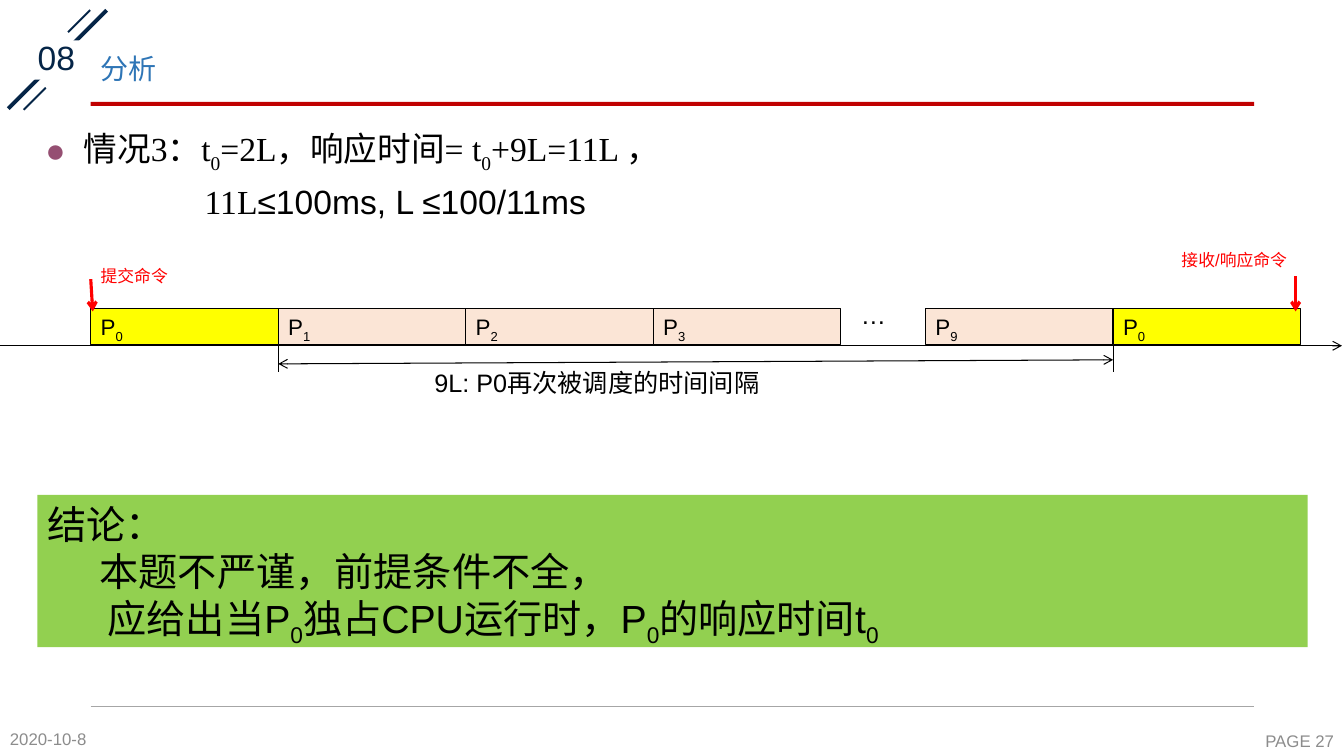
from dataclasses import dataclass

from lxml.etree import SubElement
from pptx import Presentation
from pptx.dml.color import RGBColor
from pptx.enum.shapes import MSO_CONNECTOR, MSO_SHAPE
from pptx.enum.text import MSO_ANCHOR, PP_ALIGN
from pptx.oxml.ns import qn
from pptx.util import Inches, Pt


@dataclass(frozen=True)
class Theme:
    sans: str = "Arial"
    serif: str = "Times New Roman"
    cjk: str = "Noto Sans CJK SC"
    black: str = "000000"
    white: str = "FFFFFF"
    navy: str = "052547"
    crimson: str = "C00000"
    red: str = "FF0000"
    blue: str = "2E75B6"
    plum: str = "954F72"
    grey: str = "8C8C8C"
    rule_grey: str = "A6A6A6"
    yellow: str = "FFFF00"
    peach: str = "FBE5D6"
    green: str = "92D050"
    small: int = 12
    cell: int = 16
    note: int = 18
    title: int = 20
    body: int = 24
    conclusion: int = 28


THEME = Theme()


def rgb(color):
    return RGBColor.from_string(color)


def style(font, size, color=THEME.black, name=THEME.sans):
    font.size, font.name = Pt(size), name
    font.color.rgb = rgb(color)


def place(shape, left, top, width, height):
    shape.left, shape.top = Inches(left), Inches(top)
    shape.width, shape.height = Inches(width), Inches(height)


def write(paragraph, text):
    """Add text in which each _ turns the next character into a subscript."""
    first, *rest = text.split("_")
    paragraph.add_run().text = first
    for part in rest:
        subscript = paragraph.add_run()
        subscript.text = part[0]
        subscript._r.get_or_add_rPr().set("baseline", "-25000")
        if part[1:]:
            paragraph.add_run().text = part[1:]


def indent(paragraph, left, first=0.0):
    properties = paragraph._p.get_or_add_pPr()
    properties.set("marL", str(Inches(left)))
    properties.set("indent", str(Inches(first)))
    return properties


def add_box(slide, box, fill, line=None, rotation=0):
    rect = slide.shapes.add_shape(MSO_SHAPE.RECTANGLE, *map(Inches, box))
    rect.shadow.inherit = False
    rect.rotation = rotation
    rect.fill.solid()
    rect.fill.fore_color.rgb = rgb(fill)
    if line:
        rect.line.color.rgb = rgb(line)
        rect.line.width = Pt(0.75)
    else:
        rect.line.fill.background()
    return rect


def add_label(slide, box, text, size, color=THEME.black, wrap=False,
              anchor=MSO_ANCHOR.TOP, align=PP_ALIGN.LEFT):
    frame = slide.shapes.add_textbox(*map(Inches, box)).text_frame
    frame.word_wrap, frame.vertical_anchor = wrap, anchor
    paragraph = frame.paragraphs[0]
    paragraph.alignment = align
    write(paragraph, text)
    style(paragraph.font, size, color)


def add_line(slide, start, end, color=THEME.black, width=0.75, heads=()):
    line = slide.shapes.add_connector(
        MSO_CONNECTOR.STRAIGHT, *map(Inches, (*start, *end)))
    line.line.color.rgb = rgb(color)
    line.line.width = Pt(width)
    outline = line.line._get_or_add_ln()
    for head in heads:
        SubElement(outline, qn(f"a:{head}"), type="arrow")
    SubElement(line._element.spPr, qn("a:effectLst"))


def add_header(slide):
    for bar in ((-0.12, 0.57, 1.38, 0.04), (0.63, 0.2, 0.31, 0.02),
                (0.19, 0.97, 0.31, 0.02)):
        add_box(slide, bar, THEME.navy, rotation=315)
    add_box(slide, (0.9, 1.01, 11.54, 0.04), THEME.crimson)

    section = add_box(slide, (0.23, 0.4, 0.66, 0.39), THEME.white)
    number = section.text_frame.paragraphs[0]
    number.alignment, number.line_spacing = PP_ALIGN.CENTER, 0.9
    write(number, "08")
    style(number.font, THEME.body, THEME.navy)

    title = slide.shapes.title
    place(title, 0.9, 0.4, 11.54, 0.6)
    title.text_frame.vertical_anchor = MSO_ANCHOR.MIDDLE
    heading = title.text_frame.paragraphs[0]
    heading.alignment, heading.line_spacing = PP_ALIGN.LEFT, 0.9
    write(heading, "分析")
    style(heading.font, THEME.title, THEME.blue, THEME.cjk)


def add_case(slide):
    body = slide.placeholders[1]
    place(body, 0.35, 1.22, 12.65, 5.86)
    case = body.text_frame.paragraphs[0]
    case.space_before = Pt(0)
    properties = indent(case, 0.38, -0.38)
    bullet_color = SubElement(properties, qn("a:buClr"))
    SubElement(bullet_color, qn("a:srgbClr"), val=THEME.plum)
    SubElement(properties, qn("a:buChar"), char="●")
    write(case, "情况3：t_0=2L，响应时间= t_0+9L=11L ，")
    style(case.font, THEME.body, name=THEME.serif)

    bound = body.text_frame.add_paragraph()
    bound.space_before = Pt(5)
    SubElement(indent(bound, 1.58), qn("a:buNone"))
    for text, name in (("11L", THEME.serif),
                       ("≤100ms, L ≤100/11ms", THEME.sans)):
        part = bound.add_run()
        part.text = text
        style(part.font, THEME.body, name=name)


def add_schedule(slide):
    left, resume, step, top, height = 0.9, 9.18, 1.86, 3.06, 0.36
    axis = 3.43
    # Time slices, in two runs around the ellipsis
    for start, processes in ((left, "0123"), (resume, "90")):
        for i, process in enumerate(processes):
            fill = THEME.yellow if process == "0" else THEME.peach
            box = (start + i * step, top, step, height)
            frame = add_box(slide, box, fill, THEME.black).text_frame
            frame.word_wrap, frame.vertical_anchor = False, MSO_ANCHOR.TOP
            label = frame.paragraphs[0]
            label.alignment = PP_ALIGN.LEFT
            write(label, f"P_{process}")
            style(label.font, THEME.cell)
    add_label(slide, (8.44, 2.92, 0.45, 0.4), "…", THEME.note)

    # Time axis and the interval between two turns of P0
    add_line(slide, (0, axis), (13.31, axis), heads=("tailEnd",))
    first, last = left + step, resume + step
    for x in (first, last):
        add_line(slide, (x, axis), (x, 3.69))
    add_line(slide, (first, 3.61), (last, 3.57), heads=("headEnd", "tailEnd"))
    add_label(slide, (4.21, 3.59, 3.46, 0.7), "9L: P0再次被调度的时间间隔",
              THEME.note, wrap=True)

    # Command submitted and answered
    for start, end in (((0.9, 2.77), (0.92, 3.09)),
                       ((12.85, 2.74), (12.85, 3.09))):
        add_line(slide, start, end, THEME.red, 2.25, ("tailEnd",))
    add_label(slide, (0.9, 2.59, 0.88, 0.3), "提交命令", THEME.small, THEME.red)
    add_label(slide, (11.62, 2.43, 1.26, 0.5), "接收/响应命令", THEME.small,
              THEME.red, wrap=True)


def add_conclusion(slide):
    frame = add_box(slide, (0.37, 4.91, 12.6, 1.51), THEME.green).text_frame
    frame.vertical_anchor = MSO_ANCHOR.TOP
    lines = (("结论：", 0), ("本题不严谨，前提条件不全，", 0.52),
             ("应给出当P_0独占CPU运行时，P_0的响应时间t_0", 0.6))
    for i, (text, left) in enumerate(lines):
        line = frame.add_paragraph() if i else frame.paragraphs[0]
        line.alignment = PP_ALIGN.LEFT
        indent(line, left)
        write(line, text)
        style(line.font, THEME.conclusion)


def add_footer(slide):
    add_line(slide, (0.9, 7.01), (12.44, 7.01), THEME.rule_grey, 0.5)
    for box, text, align in (
            ((0, 7.16, 1.18, 0.34), "2020-10-8", PP_ALIGN.LEFT),
            ((11.89, 7.18, 1.44, 0.34), "PAGE 27", PP_ALIGN.RIGHT)):
        add_label(slide, box, text, THEME.small, THEME.grey, wrap=True,
                  anchor=MSO_ANCHOR.MIDDLE, align=align)


def main():
    deck = Presentation()
    deck.slide_width, deck.slide_height = Inches(13.33), Inches(7.5)
    slide = deck.slides.add_slide(deck.slide_layouts[1])
    add_header(slide)
    add_case(slide)
    add_schedule(slide)
    add_conclusion(slide)
    add_footer(slide)
    deck.save("out.pptx")


if __name__ == "__main__":
    main()
